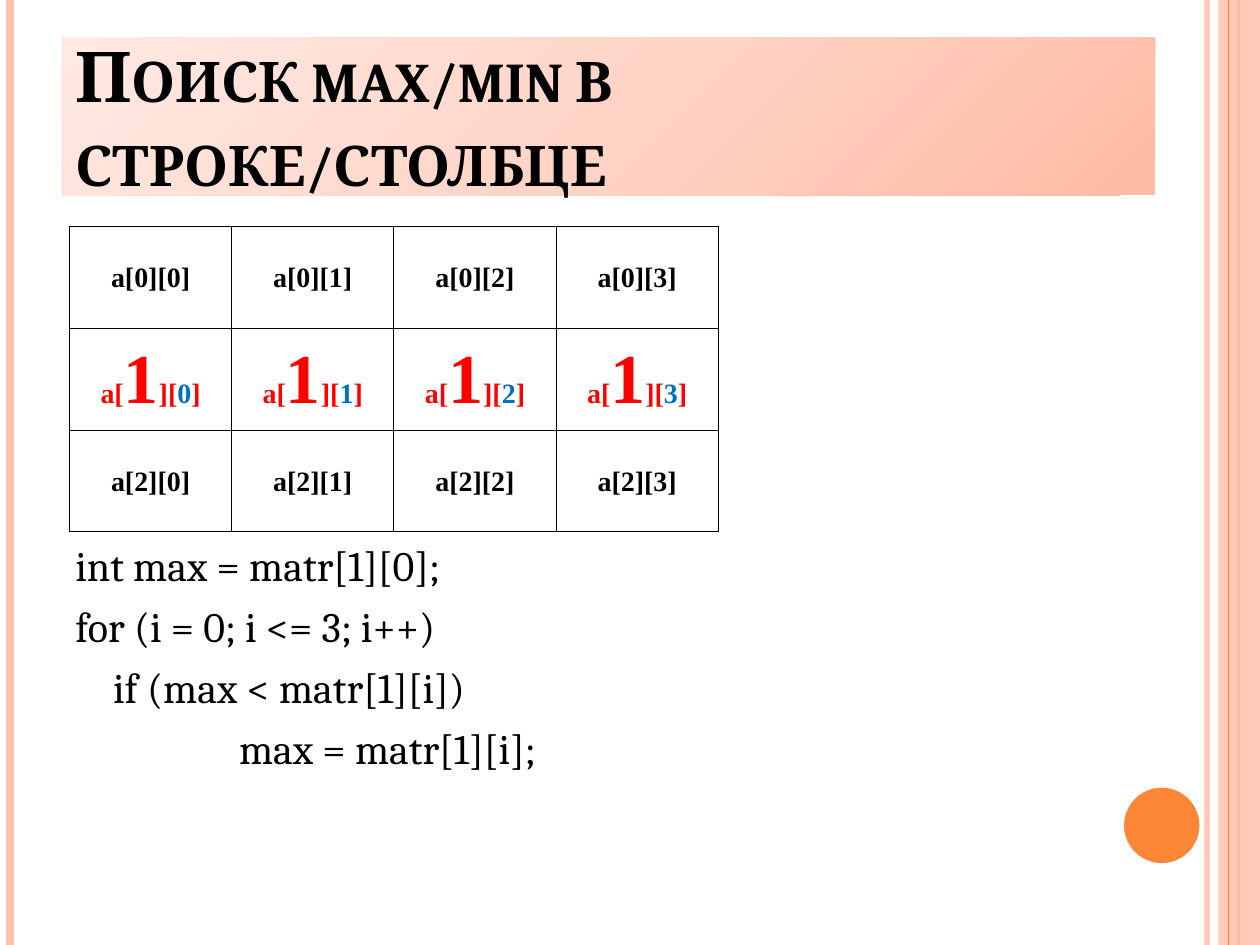
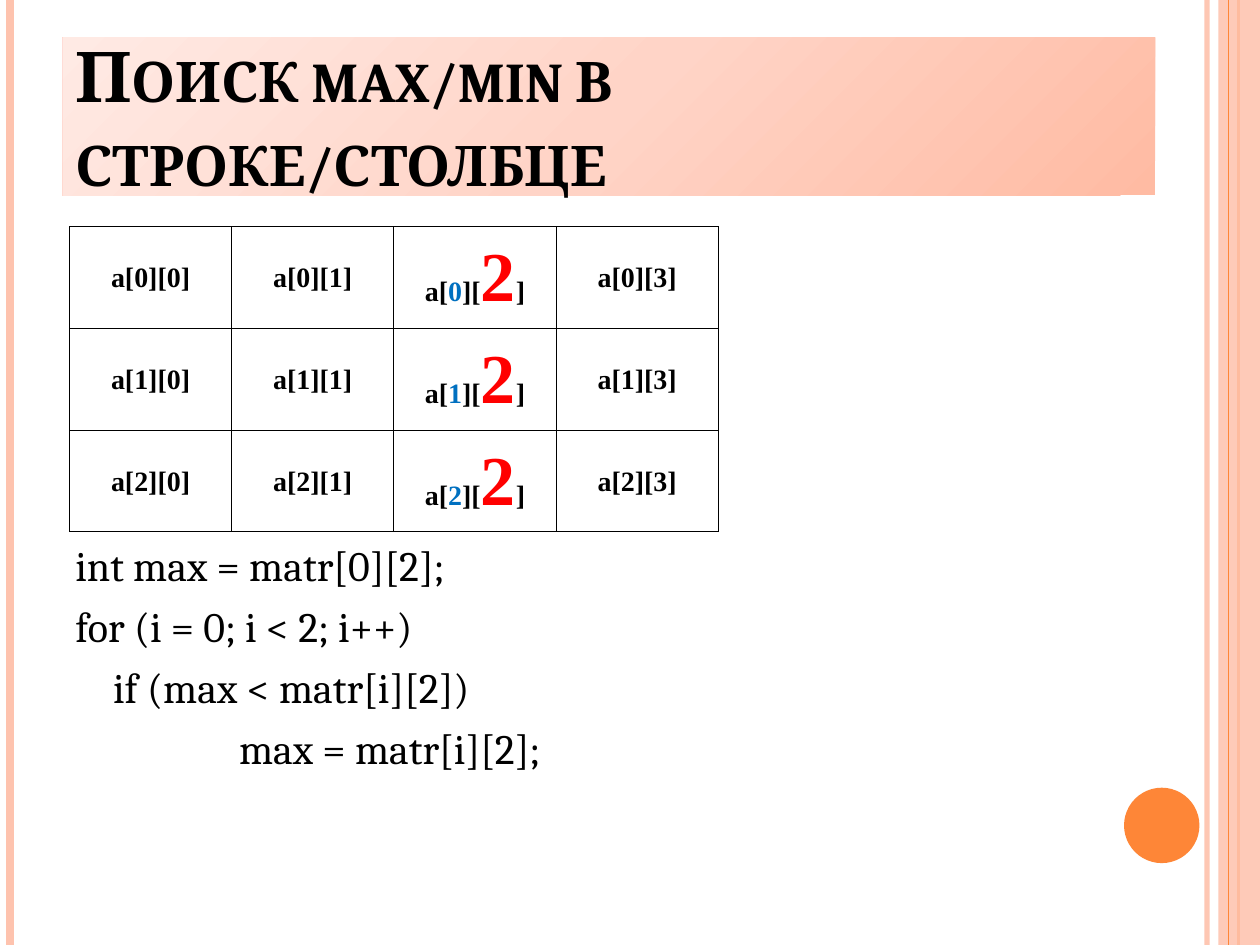
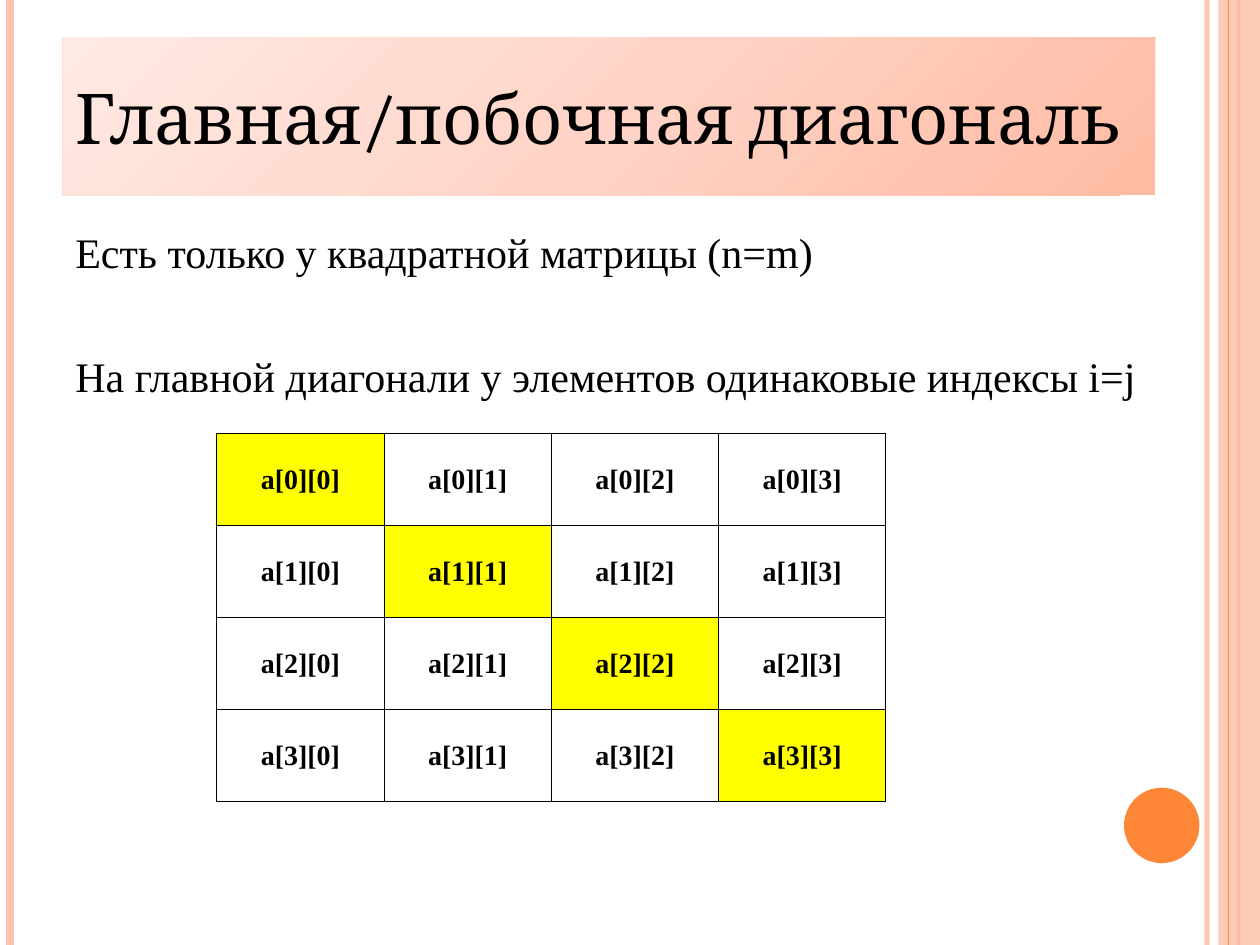
"""Build three slides about searching a matrix and its diagonals."""
from dataclasses import dataclass

from lxml import etree
from pptx import Presentation
from pptx.dml.color import RGBColor
from pptx.enum.shapes import MSO_CONNECTOR, MSO_SHAPE
from pptx.enum.text import MSO_ANCHOR, PP_ALIGN
from pptx.oxml.ns import qn
from pptx.util import Cm, Pt

STRAIGHT = MSO_CONNECTOR.STRAIGHT
RECTANGLE, OVAL = MSO_SHAPE.RECTANGLE, MSO_SHAPE.OVAL
MIDDLE, TOP = MSO_ANCHOR.MIDDLE, MSO_ANCHOR.TOP
CENTER, LEFT = PP_ALIGN.CENTER, PP_ALIGN.LEFT
ROW, COLUMN = 0, 1


@dataclass(frozen=True)
class Theme:
    """Colours, fonts and type sizes of the deck."""
    ink: str = "000000"
    peach: str = "FEC3AE"
    orange: str = "FE8637"
    red: str = "FF0000"
    blue: str = "0070C0"
    yellow: str = "FFFF00"
    title_stops: tuple = ((0, "FFBBA3"), (50, "FFD4C7"), (100, "FFEAE4"))
    title_angle: int = 225
    serif: str = "Cambria"
    times: str = "Times New Roman"
    title_size: int = 40
    body_size: int = 24
    cell_size: int = 16
    digit_size: int = 40


@dataclass(frozen=True)
class Box:
    """A place on the slide in centimetres."""
    left: float
    top: float
    width: float
    height: float

    def lengths(self):
        """Return the four values as lengths."""
        return Cm(self.left), Cm(self.top), Cm(self.width), Cm(self.height)


@dataclass(frozen=True)
class Emphasis:
    """The fixed row or column of a search."""
    axis: int
    index: int
    colour: str


THEME = Theme()
PAGE = Box(0, 0, 25.4, 19.05)
TITLE = Box(1.27, 0.76, 22.02, 3.18)
SEARCH_TABLE = Box(1.4, 4.57, 13.08, 6.15)
CODE = Box(1.27, 10.75, 22.15, 7.24)
DIAGONAL_TEXT = Box(1.27, 4.45, 22.15, 4.05)
DIAGONAL_TABLE = Box(4.37, 8.74, 13.49, 7.42)
HANGING = 0.76
TAB = 2.54


def add_element(parent, tag, **attributes):
    """Append a drawing element with the given attributes."""
    element = etree.SubElement(parent, qn(tag))
    for name, value in attributes.items():
        element.set(name, str(value))
    return element


def set_opacity(fill, percent):
    """Make a solid fill partly transparent."""
    colour = next(fill.iter(qn("a:srgbClr")))
    add_element(colour, "a:alpha", val=percent * 1000)


def style_font(font, name, size, colour, bold=False):
    """Set the face, size, colour and weight of a font."""
    font.name = name
    font.size = Pt(size)
    font.bold = bold
    font.color.rgb = RGBColor.from_string(colour)


def add_shape(slide, kind, box, colour):
    """Add a plain filled shape without outline or shadow."""
    shape = slide.shapes.add_shape(kind, *box.lengths())
    shape.shadow.inherit = False
    shape.fill.solid()
    shape.fill.fore_color.rgb = RGBColor.from_string(colour)
    shape.line.fill.background()
    return shape


def add_rule(slide, box, left, colour, width, opacity=100):
    """Draw a vertical rule down the whole box."""
    x, bottom = Cm(box.left + left), Cm(box.top + box.height)
    rule = slide.shapes.add_connector(STRAIGHT, x, Cm(box.top), x, bottom)
    rule.line.width = Pt(width)
    rule.line.color.rgb = RGBColor.from_string(colour)
    properties = rule._element.spPr
    if opacity < 100:
        set_opacity(properties, opacity)
    add_element(properties, "a:effectLst")


def add_frame(slide, box):
    """Draw the side rules, the right band and the disc."""
    add_rule(slide, box, 24.33, THEME.peach, 3, 93)
    add_rule(slide, box, 0.21, THEME.peach, 4.5)
    add_rule(slide, box, 24.97, THEME.orange, 1.5)
    band_width = 0.84
    band_left = box.left + box.width - band_width
    band = add_shape(slide, RECTANGLE, Box(band_left, box.top, band_width, box.height), THEME.peach)
    set_opacity(band._element.spPr, 87)
    add_rule(slide, box, 24.77, THEME.orange, 0.75)
    add_shape(slide, OVAL, Box(box.left + 22.66, box.top + 15.88, 1.52, 1.52), THEME.orange)


def add_title(slide, box, text, small_caps):
    """Write the title on its gradient panel."""
    shape = add_shape(slide, RECTANGLE, box, THEME.peach)
    properties = shape._element.spPr
    gradient = etree.Element(qn("a:gradFill"), rotWithShape="1")
    stops = add_element(gradient, "a:gsLst")
    for position, colour in THEME.title_stops:
        stop = add_element(stops, "a:gs", pos=position * 1000)
        add_element(stop, "a:srgbClr", val=colour)
    add_element(gradient, "a:lin", ang=THEME.title_angle * 60000, scaled=0)
    properties.replace(properties.find(qn("a:solidFill")), gradient)
    frame = shape.text_frame
    frame.word_wrap = True
    frame.vertical_anchor = MIDDLE
    paragraph = frame.paragraphs[0]
    paragraph.alignment = LEFT
    run = paragraph.add_run()
    run.text = text
    style_font(paragraph.font, THEME.serif, THEME.title_size, THEME.ink, small_caps)
    if small_caps:
        run._r.get_or_add_rPr().set("cap", "small")


def add_text(slide, box, lines, font_name, space=6):
    """Write lines given as pairs of left margin and text."""
    frame = slide.shapes.add_textbox(*box.lengths()).text_frame
    frame.word_wrap = True
    frame.vertical_anchor = TOP
    for number, (margin, text) in enumerate(lines):
        paragraph = frame.add_paragraph() if number else frame.paragraphs[0]
        paragraph.text = text
        paragraph._p.get_or_add_pPr().set("marL", str(Cm(margin)))
        if number:
            paragraph.space_before = Pt(space)
        style_font(paragraph.font, font_name, THEME.body_size, THEME.ink)


def add_borders(cell):
    """Draw thin lines on the four sides of a cell."""
    properties = cell._tc.get_or_add_tcPr()
    for position, side in enumerate("LRTB"):
        line = etree.Element(qn(f"a:ln{side}"), w=str(Pt(0.5)))
        add_element(add_element(line, "a:solidFill"), "a:srgbClr", val=THEME.ink)
        properties.insert(position, line)


def write_index(paragraph, indices, emphasis):
    """Write an element name and enlarge its fixed index."""
    style_font(paragraph.font, THEME.times, THEME.cell_size, THEME.ink, True)
    row, column = indices
    if not emphasis or indices[emphasis.axis] != emphasis.index:
        paragraph.add_run().text = f"a[{row}][{column}]"
        return
    for position, text in enumerate(("a[", str(row), "][", str(column), "]")):
        size, colour = THEME.cell_size, emphasis.colour
        if position == 1 + 2 * emphasis.axis:
            size, colour = THEME.digit_size, THEME.red
        elif position in (1, 3):
            colour = THEME.blue
        run = paragraph.add_run()
        run.text = text
        style_font(run.font, THEME.times, size, colour, True)


def add_matrix(slide, box, rows, columns, emphasis=None, mark_diagonal=False):
    """Add a table of matrix elements that fills the box."""
    table = slide.shapes.add_table(rows, columns, *box.lengths()).table
    table.first_row = table.horz_banding = False
    for column in table.columns:
        column.width = Cm(box.width / columns)
    for row_index, row in enumerate(table.rows):
        row.height = Cm(box.height / rows)
        for column_index, cell in enumerate(row.cells):
            cell.vertical_anchor = MIDDLE
            cell.margin_left = cell.margin_right = cell.margin_top = Cm(0.03)
            cell.margin_bottom = 0
            if mark_diagonal and row_index == column_index:
                cell.fill.solid()
                cell.fill.fore_color.rgb = RGBColor.from_string(THEME.yellow)
            else:
                cell.fill.background()
            add_borders(cell)
            paragraph = cell.text_frame.paragraphs[0]
            paragraph.alignment = CENTER
            write_index(paragraph, (row_index, column_index), emphasis)


def add_page(presentation, title, small_caps):
    """Add a blank slide with the shared frame and a title."""
    slide = presentation.slides.add_slide(presentation.slide_layouts[6])
    add_frame(slide, PAGE)
    add_title(slide, TITLE, title, small_caps)
    return slide


def add_search_slide(presentation, emphasis, first, condition, element):
    """Show the search for a maximum along one row or column."""
    slide = add_page(presentation, "Поиск max/min в строке/столбце", True)
    code = (
        (0, f"int max = {first};"),
        (0, f"for (i = 0; {condition}; i++)"),
        (HANGING, f"if (max < {element})"),
        (HANGING + TAB, f"max = {element};"),
    )
    add_text(slide, CODE, code, THEME.serif)
    add_matrix(slide, SEARCH_TABLE, 3, 4, emphasis)


def add_diagonal_slide(presentation):
    """Show the main diagonal of a square matrix."""
    slide = add_page(presentation, "Главная/побочная диагональ", False)
    lines = (
        (0, "Есть только у квадратной матрицы (n=m)"),
        (0, "На главной диагонали у элементов одинаковые индексы i=j"),
    )
    add_text(slide, DIAGONAL_TEXT, lines, THEME.times, 42)
    add_matrix(slide, DIAGONAL_TABLE, 4, 4, mark_diagonal=True)


def main():
    """Build the presentation and save it."""
    presentation = Presentation()
    presentation.slide_width = Cm(PAGE.width)
    presentation.slide_height = Cm(PAGE.height)
    add_search_slide(presentation, Emphasis(ROW, 1, THEME.red),
                     "matr[1][0]", "i <= 3", "matr[1][i]")
    add_search_slide(presentation, Emphasis(COLUMN, 2, THEME.ink),
                     "matr[0][2]", "i < 2", "matr[i][2]")
    add_diagonal_slide(presentation)
    presentation.save("out.pptx")


if __name__ == "__main__":
    main()
